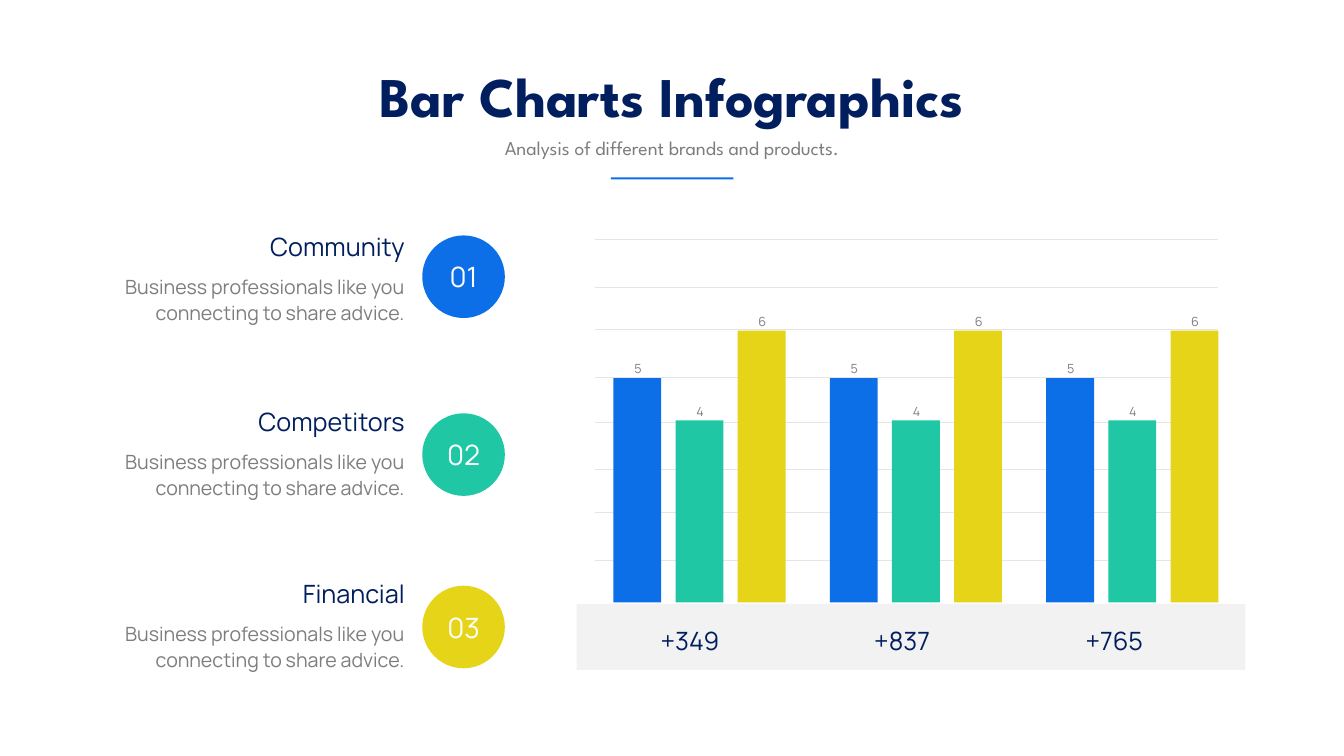
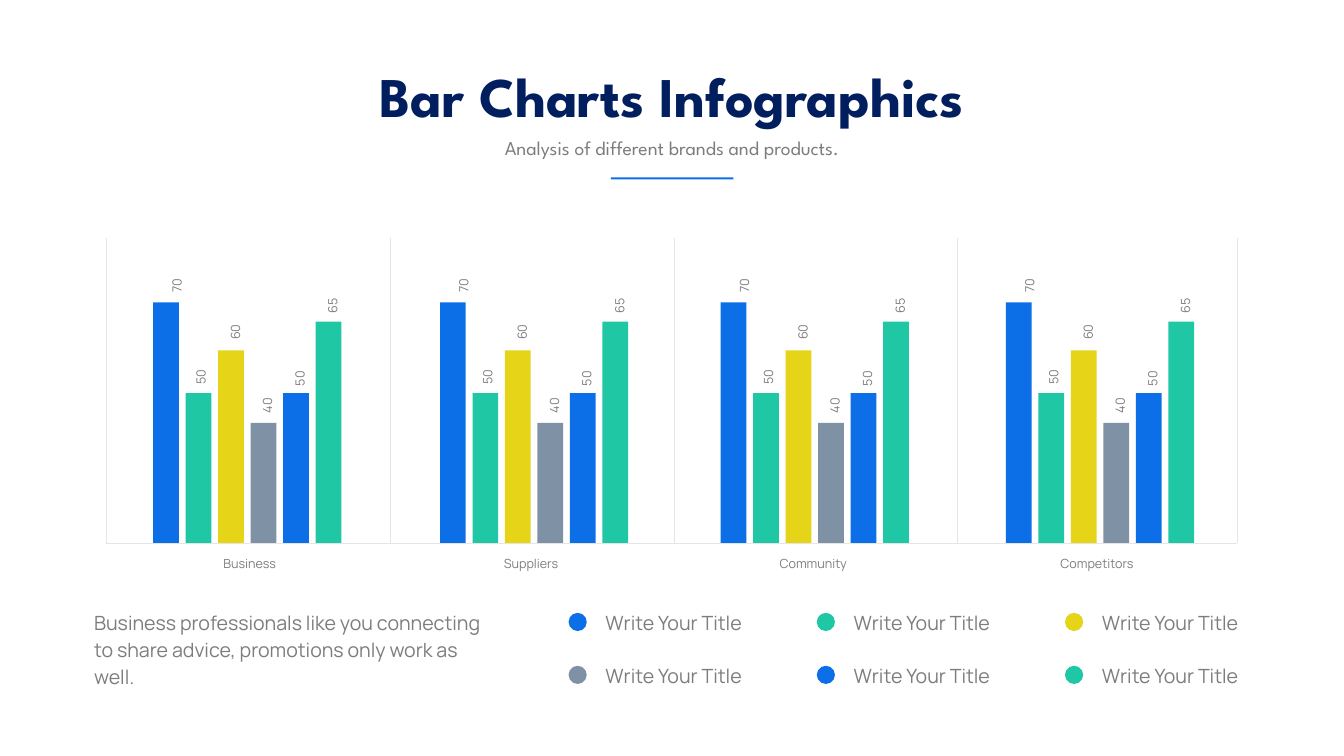
from dataclasses import dataclass

from lxml import etree
from pptx import Presentation
from pptx.dml.color import RGBColor
from pptx.enum.shapes import MSO_CONNECTOR, MSO_SHAPE
from pptx.enum.text import MSO_ANCHOR, MSO_AUTO_SIZE, PP_ALIGN
from pptx.oxml.ns import qn
from pptx.util import Pt

LEFT, CENTER, RIGHT = PP_ALIGN.LEFT, PP_ALIGN.CENTER, PP_ALIGN.RIGHT
TOP, MIDDLE = MSO_ANCHOR.TOP, MSO_ANCHOR.MIDDLE
GROW = MSO_AUTO_SIZE.SHAPE_TO_FIT_TEXT
RECTANGLE, OVAL = MSO_SHAPE.RECTANGLE, MSO_SHAPE.OVAL
STRAIGHT = MSO_CONNECTOR.STRAIGHT


@dataclass(frozen=True)
class Theme:
    navy: str = "011F5E"
    gray: str = "7E7C7F"
    blue: str = "0D6FE8"
    teal: str = "1FC7A4"
    yellow: str = "E5D418"
    slate: str = "7F92A5"
    grid: str = "E5E5E5"
    band: str = "808080"
    white: str = "FFFFFF"
    title_font: str = "League Spartan"
    body_font: str = "Manrope"
    title: int = 80
    number: int = 40
    heading: int = 36
    body: int = 28
    label: int = 18


THEME = Theme()

# Shared content
TITLE = "Bar Charts Infographics"
SUBTITLE = "Analysis of different brands and products."

# Topics page
ADVICE = "Business professionals like you connecting to share advice."
TOPICS = [  # name, colour, text top, circle top
    ("Community", THEME.blue, 327, 336.3),
    ("Competitors", THEME.teal, 577, 590.4),
    ("Financial", THEME.yellow, 822.5, 836.7),
]
TOTALS = ["+349", "+837", "+765"]
TOPIC_BARS = [  # colour, value, bar top
    (THEME.blue, "5", 540), (THEME.teal, "4", 600.5), (THEME.yellow, "6", 472.3),
]
GRID_LEVELS = [342, 409.7, 470.9, 538.6, 603.4, 670.3, 732.2, 799.9]

# Groups page
PROMOTIONS = ("Business professionals like you connecting to share advice, "
              "promotions only work as well.")
GROUPS = [  # name, name left, first bar left
    ("Business", 256.3, 218.9), ("Suppliers", 658.1, 628.6),
    ("Community", 1061.3, 1029.6), ("Competitors", 1466.6, 1437.1),
]
DIVIDERS = [151.9, 557.3, 962.6, 1368, 1767.6]
LEGEND_TITLE = "Write Your Title"
GROUP_BARS = [  # colour, value, bar top, label shift, label top
    (THEME.blue, "70", 432, -5, 388), (THEME.teal, "50", 561.6, -17.3, 519.1),
    (THEME.yellow, "60", 500.4, -14.4, 454.3), (THEME.slate, "40", 604.1, -14.8, 559.4),
    (THEME.blue, "50", 561.6, -15, 520.6), (THEME.teal, "65", 459.4, -14.4, 416.9),
]


def rgb(color):
    return RGBColor.from_string(color)


def write(shape, text, size, color, align=LEFT, font=THEME.body_font, bold=False, spacing=None):
    frame = shape.text_frame
    frame.text = text
    para = frame.paragraphs[0]
    para.alignment = align
    para.space_before = Pt(0)
    if spacing:
        para.line_spacing = Pt(spacing)
    style = para.runs[0].font
    style.name, style.size, style.bold = font, Pt(size), bold
    style.color.rgb = rgb(color)


def add_text(page, area, text, size, color, align=LEFT, spacing=None):
    box = page.shapes.add_textbox(*map(Pt, area))
    box.text_frame.word_wrap = True
    box.text_frame.auto_size = GROW
    write(box, text, size, color, align, spacing=spacing)
    return box


def add_label(page, x, y, width, text):
    return add_text(page, (x, y, width, 40.3), text, THEME.label, THEME.gray, CENTER, 35.6)


def add_block(page, kind, area, color):
    shape = page.shapes.add_shape(kind, *map(Pt, area))
    shape.shadow.inherit = False
    shape.fill.solid()
    shape.fill.fore_color.rgb = rgb(color)
    shape.line.fill.background()
    return shape


def add_bar(page, x, top, width, base, color):
    add_block(page, RECTANGLE, (x, top, width, base - top), color)


def add_line(page, x1, y1, x2, y2):
    line = page.shapes.add_connector(STRAIGHT, *map(Pt, (x1, y1, x2, y2)))
    line.line.color.rgb = rgb(THEME.grid)
    line.line.width = Pt(0.5)
    etree.SubElement(line._element.spPr, qn("a:effectLst"))


def add_page(deck):
    """Add a slide with the shared title, subtitle and rule."""
    page = deck.slides.add_slide(deck.slide_layouts[0])
    title, subtitle = page.shapes.title, page.placeholders[1]
    for box, area in ((title, (498.2, 84.2, 923, 104.4)), (subtitle, (615.8, 190.8, 688.3, 41))):
        box.left, box.top, box.width, box.height = map(Pt, area)
        box.text_frame.vertical_anchor = TOP
        box.text_frame.auto_size = GROW
    title.text_frame.word_wrap = False
    write(title, TITLE, THEME.title, THEME.navy, CENTER, THEME.title_font, bold=True)
    write(subtitle, SUBTITLE, THEME.body, THEME.gray, CENTER, THEME.title_font)
    add_block(page, RECTANGLE, (872.6, 253.4, 175, 2.9), THEME.blue)
    return page


def build_topics_page(deck):
    page = add_page(deck)

    # Band with totals
    band = add_block(page, RECTANGLE, (823.7, 862.6, 955.4, 94.3), THEME.band)
    band_color = band._element.spPr.find(qn("a:solidFill"))[0]
    etree.SubElement(band_color, qn("a:alpha")).set("val", "10000")
    for index, total in enumerate(TOTALS):
        add_text(page, (922.3 + 303.1 * index, 890, 126.7, 51), total,
                 THEME.heading, THEME.navy, CENTER)

    # Numbered topics
    for number, (name, color, top, circle_top) in enumerate(TOPICS, 1):
        add_text(page, (141.1, top + 59.8, 443.5, 81.4), ADVICE,
                 THEME.body, THEME.gray, RIGHT, 36.6)
        add_text(page, (233.2, top, 352, 51), name, THEME.heading, THEME.navy, RIGHT)
        circle = add_block(page, OVAL, (603.2, circle_top, 118, 118), color)
        circle.text_frame.vertical_anchor = MIDDLE
        write(circle, f"{number:02}", THEME.number, THEME.white, CENTER)

    # Gridlines, then one set of bars for each total
    for level in GRID_LEVELS:
        add_line(page, 849.6, level, 1740.2, level)
    for group in range(len(TOTALS)):
        for index, (color, value, top) in enumerate(TOPIC_BARS):
            x = 876.2 + 309.2 * group + 88.8 * index
            add_bar(page, x, top, 68.4, 860.4, color)
            add_label(page, x - 5.2, top - 41.5, 80.6, value)


def build_groups_page(deck):
    page = add_page(deck)
    top, base = 340.6, 776.2

    # Dividers and base line
    for x in DIVIDERS:
        add_line(page, x, top, x, base)
    add_line(page, DIVIDERS[-1], base, DIVIDERS[0], base)

    # Bars with upright values
    for name, name_left, first_left in GROUPS:
        add_label(page, name_left, base, 200.9, name)
        for index, (color, value, bar_top, shift, label_top) in enumerate(GROUP_BARS):
            x = first_left + 46.4 * index
            add_bar(page, x, bar_top, 36.7, 775.6, color)
            add_label(page, x + shift, label_top, 60.5, value).rotation = 270

    # Legend in three columns
    add_text(page, (127.4, 864, 569.5, 123.8), PROMOTIONS, THEME.body, THEME.gray, spacing=38.6)
    for index, (color, *_) in enumerate(GROUP_BARS):
        row, column = divmod(index, 3)
        x, y = 812.2 + 354.6 * column, 875.5 + 75.6 * row
        add_block(page, OVAL, (x, y, 26, 26), color)
        add_text(page, (x + 45.6, y - 8, 224.6, 43.2), LEGEND_TITLE,
                 THEME.body, THEME.gray, spacing=35.6)


def main():
    deck = Presentation()
    deck.slide_width, deck.slide_height = Pt(1920), Pt(1080)
    build_topics_page(deck)
    build_groups_page(deck)
    deck.save("out.pptx")


if __name__ == "__main__":
    main()
